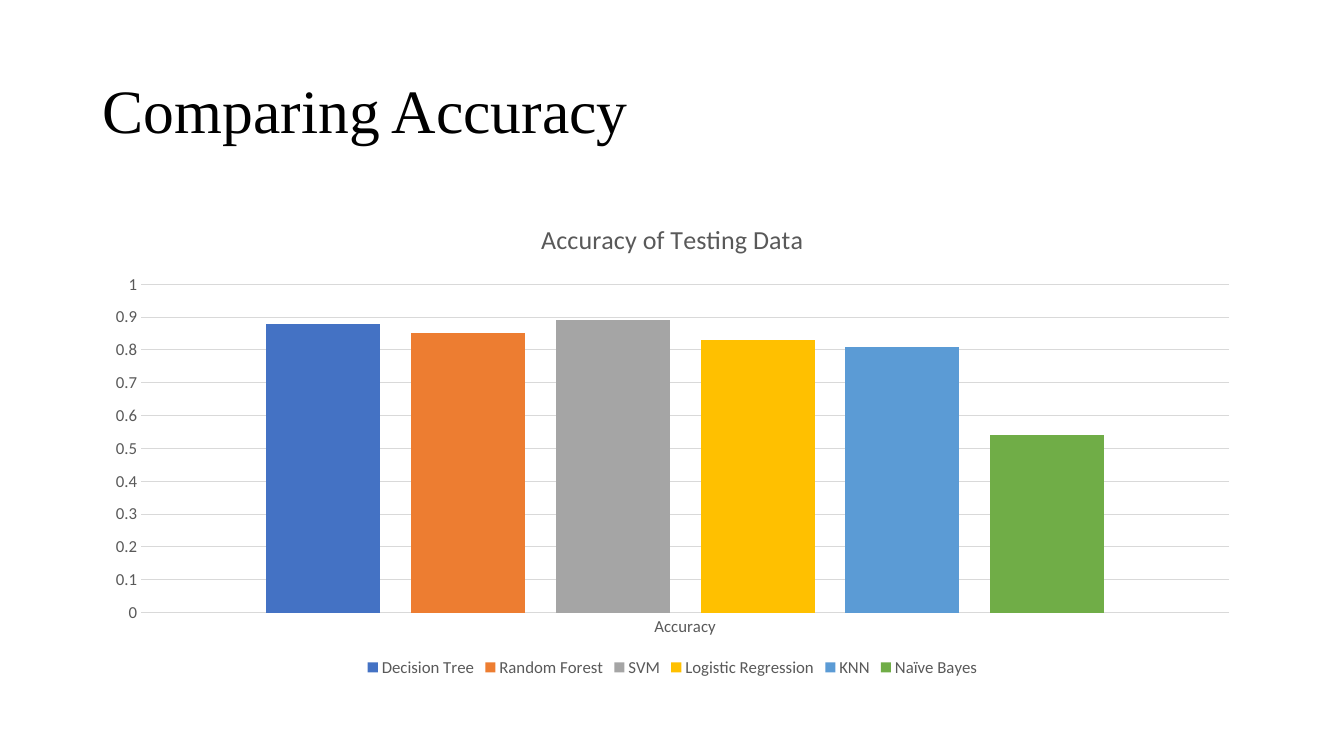
from pptx import Presentation
from pptx.chart.data import CategoryChartData
from pptx.dml.color import RGBColor
from pptx.enum.chart import XL_CHART_TYPE, XL_LEGEND_POSITION, XL_TICK_MARK
from pptx.enum.text import MSO_ANCHOR, PP_ALIGN
from pptx.util import Inches, Pt

# Accuracy and bar colour of each classifier
CLASSIFIERS = [
    ("Decision Tree", 0.88, "4472C4"),
    ("Random Forest", 0.85, "ED7D31"),
    ("SVM", 0.89, "A5A5A5"),
    ("Logistic Regression", 0.83, "FFC000"),
    ("KNN", 0.81, "5B9BD5"),
    ("Naïve Bayes", 0.54, "70AD47"),
]


def rgb(hex_color):
    return RGBColor.from_string(hex_color)


class SlideBuilder:
    heading_font, chart_font = "Times New Roman", "Calibri"
    heading_color, label_color, grid_color = "000000", "595959", "D9D9D9"
    left, width = Inches(0.92), Inches(11.5)

    def __init__(self, slide):
        self.slide = slide

    def style_font(self, font, name, size, color):
        font.name = name
        font.size = Pt(size)
        font.bold = False
        font.color.rgb = rgb(color)

    def style_line(self, line):
        line.color.rgb = rgb(self.grid_color)
        line.width = Pt(0.75)

    def add_title(self, text):
        title = self.slide.shapes.title
        title.left, title.top = self.left, Inches(0.4)
        title.width, title.height = self.width, Inches(1.45)
        frame = title.text_frame
        frame.text = text
        frame.word_wrap = True
        frame.vertical_anchor = MSO_ANCHOR.MIDDLE
        heading = frame.paragraphs[0]
        heading.alignment = PP_ALIGN.LEFT
        heading.line_spacing = 0.9
        self.style_font(heading.runs[0].font, self.heading_font, 44, self.heading_color)

    def style_axis(self, axis):
        axis.major_tick_mark = axis.minor_tick_mark = XL_TICK_MARK.NONE
        self.style_font(axis.tick_labels.font, self.chart_font, 12, self.label_color)

    def add_column_chart(self, heading, category, entries):
        data = CategoryChartData()
        data.categories = [category]
        for name, value, _ in entries:
            data.add_series(name, [value])
        chart = self.slide.shapes.add_chart(
            XL_CHART_TYPE.COLUMN_CLUSTERED, self.left, Inches(2),
            self.width, Inches(4.76), data).chart
        self.style_font(chart.font, self.chart_font, 10, self.heading_color)

        # Chart title
        chart.has_title = True
        title_frame = chart.chart_title.text_frame
        title_frame.text = heading
        self.style_font(title_frame.paragraphs[0].runs[0].font,
                        self.chart_font, 18.6, self.label_color)
        chart.chart_title.include_in_layout = False

        # Columns
        plot = chart.plots[0]
        plot.gap_width, plot.overlap = 219, -27
        plot.vary_by_categories = False
        for series, (_, _, color) in zip(plot.series, entries):
            series.format.fill.solid()
            series.format.fill.fore_color.rgb = rgb(color)

        # Axes
        self.style_axis(chart.category_axis)
        self.style_line(chart.category_axis.format.line)
        values = chart.value_axis
        self.style_axis(values)
        values.minimum_scale, values.maximum_scale, values.major_unit = 0, 1, 0.1
        values.tick_labels.number_format = "General"
        values.tick_labels.number_format_is_linked = False
        values.format.line.fill.background()
        values.has_major_gridlines = True
        self.style_line(values.major_gridlines.format.line)

        # Legend
        chart.has_legend = True
        chart.legend.position = XL_LEGEND_POSITION.BOTTOM
        chart.legend.include_in_layout = False
        self.style_font(chart.legend.font, self.chart_font, 12, self.label_color)


def main():
    deck = Presentation()
    deck.slide_width, deck.slide_height = Inches(13.33), Inches(7.5)
    title_only = deck.slide_layouts[5]
    builder = SlideBuilder(deck.slides.add_slide(title_only))
    builder.add_title("Comparing Accuracy")
    builder.add_column_chart("Accuracy of Testing Data", "Accuracy", CLASSIFIERS)
    deck.save("out.pptx")


if __name__ == "__main__":
    main()
